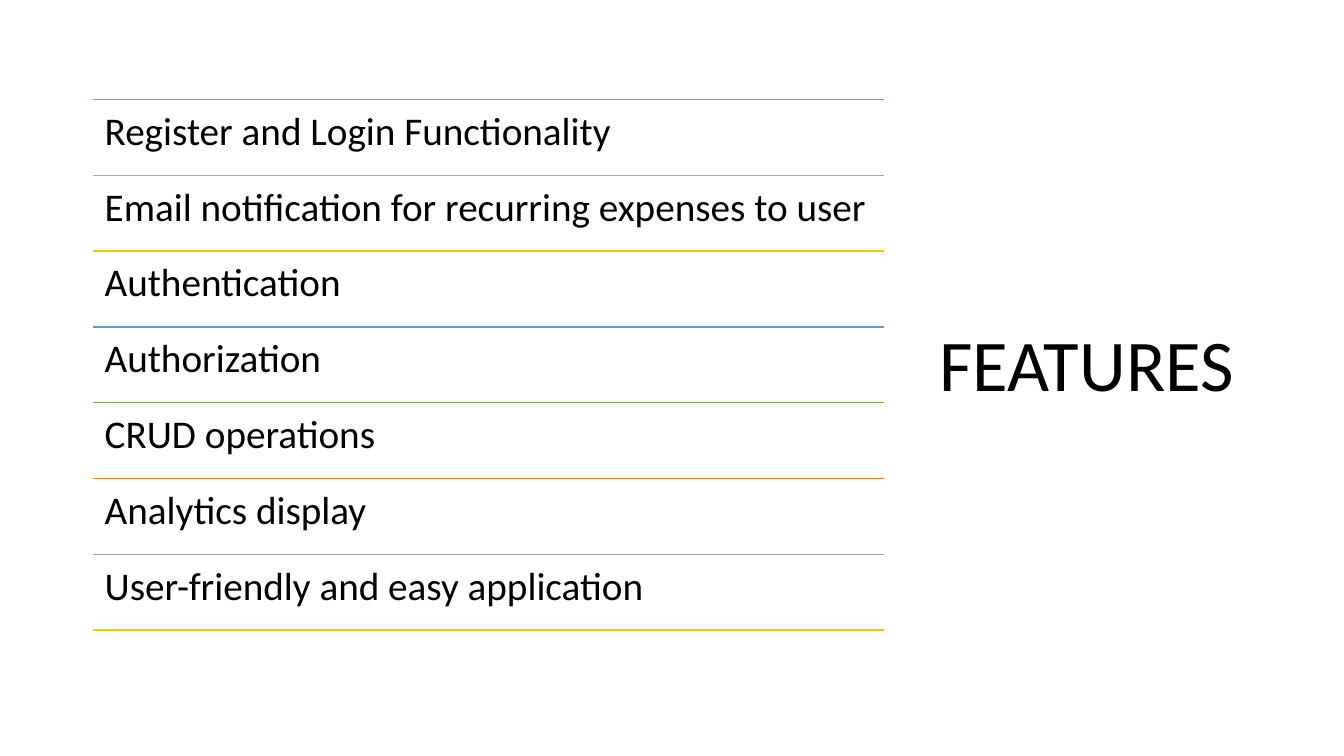
from itertools import cycle

from lxml import etree
from pptx import Presentation
from pptx import util as u
from pptx.dml import color
from pptx.enum import shapes, text
from pptx.oxml import ns

HUES = {
    "orange": "ED7D31",
    "gray": "A5A5A5",
    "gold": "FFC000",
    "blue": "5B9BD5",
    "green": "70AD47",
    "black": "000000",
}
RULES = ["orange", "gray", "gold", "blue", "green"]
ITEMS = [
    "Register and Login Functionality",
    "Email notification for recurring expenses to user",
    "Authentication",
    "Authorization",
    "CRUD operations",
    "Analytics display",
    "User-friendly and easy application",
]
LEFT, TOP, WIDTH, PITCH = u.Cm(2.34), u.Cm(2.51), u.Cm(19.94), u.Cm(1.91)


def hue(name):
    """Return the named colour."""
    return color.RGBColor.from_string(HUES[name])


def style(para, size):
    """Set the shared type style of a paragraph."""
    para.alignment = text.PP_ALIGN.LEFT
    para.line_spacing = 0.9
    para.font.name = "Calibri"
    para.font.size = u.Pt(size)
    para.font.color.rgb = hue("black")


def add_title(slide, words):
    """Place the title to the right of the list."""
    title = slide.shapes.title
    title.left, title.top = u.Cm(23.42), u.Cm(1.52)
    title.width, title.height = u.Cm(9.27), u.Cm(15.49)
    frame = title.text_frame
    frame.text = words
    frame.vertical_anchor = text.MSO_ANCHOR.MIDDLE
    style(frame.paragraphs[0], 52)


def add_rule(slide, top, name):
    """Draw a coloured rule across the list."""
    rule = slide.shapes.add_connector(
        shapes.MSO_CONNECTOR.STRAIGHT, LEFT, top, LEFT + WIDTH, top)
    rule.line.color.rgb = hue(name)
    rule.line.width = u.Pt(1)
    etree.SubElement(rule._element.spPr, ns.qn("a:effectLst"))


def add_item(slide, top, words):
    """Write one feature below its rule."""
    frame = slide.shapes.add_textbox(LEFT, top, WIDTH, PITCH).text_frame
    frame.word_wrap = True
    frame.margin_left = frame.margin_right = u.Cm(0.3)
    frame.margin_top = frame.margin_bottom = u.Cm(0.3)
    frame.text = words
    style(frame.paragraphs[0], 28)


def main():
    """Build the features slide."""
    deck = Presentation()
    deck.slide_width, deck.slide_height = u.Cm(33.87), u.Cm(19.05)
    slide = deck.slides.add_slide(deck.slide_layouts[5])
    add_title(slide, "FEATURES")
    for row, (words, name) in enumerate(zip(ITEMS, cycle(RULES))):
        top = TOP + row * PITCH
        add_rule(slide, top, name)
        add_item(slide, top, words)
    add_rule(slide, TOP + len(ITEMS) * PITCH, "gold")
    deck.save("out.pptx")


if __name__ == "__main__":
    main()
